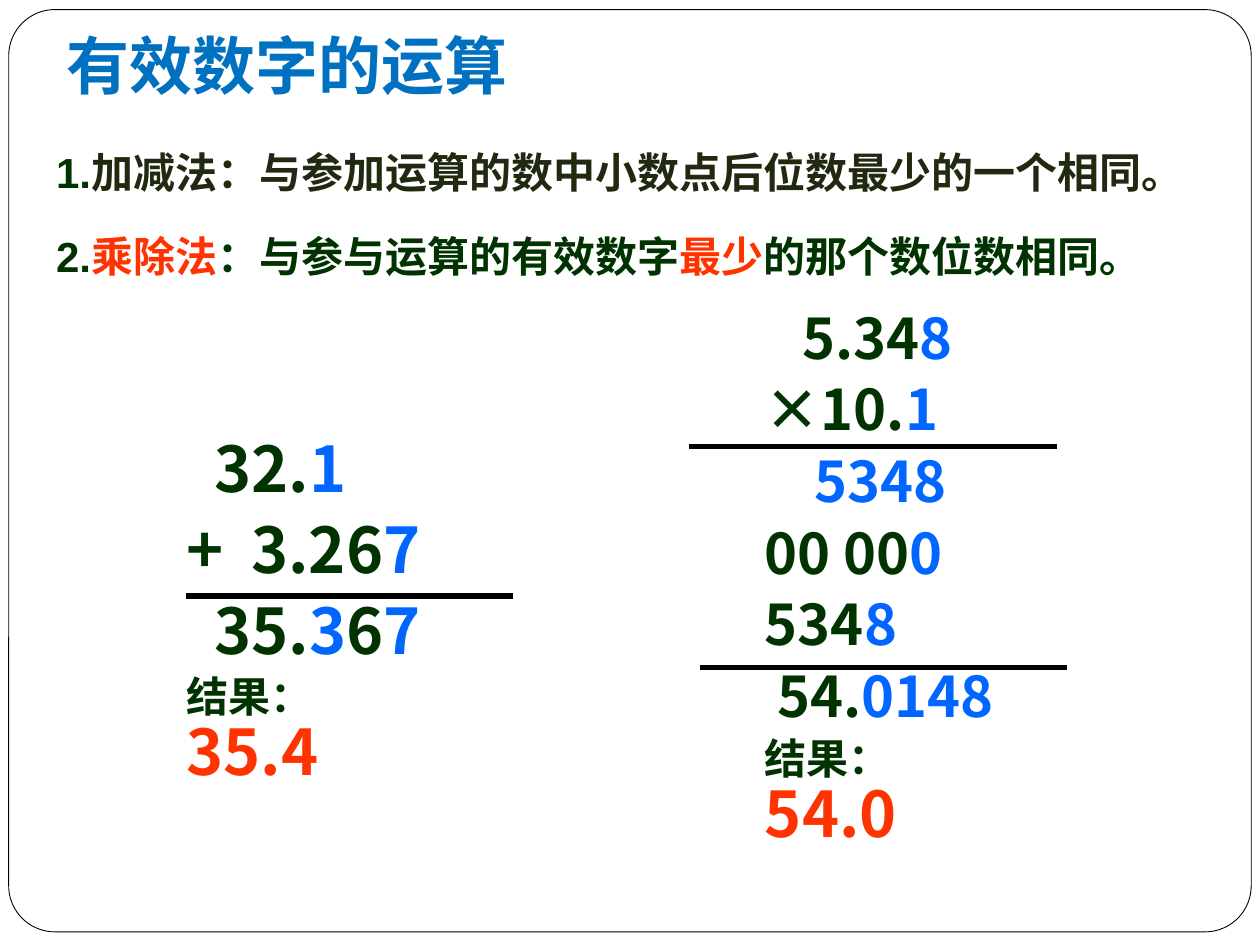
from dataclasses import dataclass

from pptx import Presentation
from pptx.dml.color import RGBColor
from pptx.enum import shapes, text
from pptx.oxml import ns, xmlchemy
from pptx.util import Pt


@dataclass(frozen=True)
class Theme:
    """Colours, fonts and type sizes of the slide."""
    white: str = "FFFFFF"
    black: str = "000000"
    title: str = "0070C0"
    green: str = "003300"
    olive: str = "212911"
    blue: str = "0066FF"
    red: str = "FF3300"
    cjk: str = "Noto Sans CJK SC"
    latin: str = "Arial"
    big: float = 36
    medium: float = 32
    small: float = 24


T = Theme()


def add_box(s, box, anchor=text.MSO_ANCHOR.TOP):
    """Add a wrapping text box and return its text frame."""
    tf = s.shapes.add_textbox(*map(Pt, box)).text_frame
    tf.word_wrap = True
    tf.vertical_anchor = anchor
    return tf


def add_paragraph(tf, first, runs, font, spacing, indent=0, hanging=0):
    """Add a paragraph of bold (text, colour, size) runs."""
    p = tf.paragraphs[0] if first else tf.add_paragraph()
    p.line_spacing = spacing
    p.space_before = Pt(0 if first else 0.2 * runs[0][2])
    pPr = p._p.get_or_add_pPr()
    pPr.set("marL", str(Pt(indent)))
    pPr.set("indent", str(Pt(-hanging)))
    for words, color, size in runs:
        r = p.add_run()
        r.text = words
        r.font.name, r.font.size, r.font.bold = font, Pt(size), True
        r.font.color.rgb = RGBColor.from_string(color)


def add_frame(s, box):
    """Draw the rounded border around the slide."""
    sp = s.shapes.add_shape(shapes.MSO_SHAPE.ROUNDED_RECTANGLE, *map(Pt, box))
    sp.adjustments[0] = 0.05
    sp.shadow.inherit = False
    sp.fill.solid()
    sp.fill.fore_color.rgb = RGBColor.from_string(T.white)
    sp.line.color.rgb = RGBColor.from_string(T.black)
    sp.line.width = Pt(0.5)


def add_title(s, box):
    """Place the slide title at the bottom of its box."""
    tf = add_box(s, box, text.MSO_ANCHOR.BOTTOM)
    tf.margin_bottom = Pt(7.2)
    add_paragraph(tf, True, [("有效数字的运算", T.title, T.big)], T.cjk, 1.0)


def add_rules(s, box):
    """Place the two rules for rounding results."""
    rules = [
        [("1.", T.green), ("加减法：与参加运算的数中小数点后位数最少的一个相同。", T.olive)],
        [("2.", T.green), ("乘除法", T.red), ("：与参与运算的有效数字", T.green),
         ("最少", T.red), ("的那个数位数相同。", T.green)],
    ]
    tf = add_box(s, box)
    for i, rule in enumerate(rules):
        add_paragraph(tf, i == 0, [(*r, T.small) for r in rule], T.latin, 1.5)


def add_calculation(s, box, size, rows, result, bars):
    """Place a written calculation with its result and bars relative to the box."""
    left, top = box[:2]
    tf = add_box(s, box)
    for i, (indent, hanging, runs) in enumerate(rows):
        add_paragraph(tf, i == 0, [(*r, size) for r in runs], T.cjk, 0.9, indent, hanging)
    answer = [("结果：", T.green, T.small), (result, T.red, T.big)]
    add_paragraph(tf, False, answer, T.cjk, 0.9)
    for x, y, length in bars:
        ln = s.shapes.add_connector(
            shapes.MSO_CONNECTOR.STRAIGHT,
            Pt(left + x), Pt(top + y), Pt(left + x + length), Pt(top + y))
        ln.line.color.rgb = RGBColor.from_string(T.black)
        ln.line.width = Pt(3)
        ln._element.spPr.append(xmlchemy.OxmlElement("a:effectLst"))


def main():
    """Build the slide and save it."""
    prs = Presentation()
    prs.slide_width, prs.slide_height = Pt(720), Pt(540)
    s = prs.slides.add_slide(prs.slide_layouts[6])
    add_frame(s, (5, 5.5, 710, 527))
    addition = [
        (16, 0, [("32.", T.green), ("1", T.blue)]),
        (37, 37, [("+\t3.26", T.green), ("7", T.blue)]),
        (16, 0, [("35.", T.green), ("3", T.blue), ("6", T.green), ("7", T.blue)]),
    ]
    add_calculation(s, (99.5, 247, 155, 189.5), T.big, addition, "35.4", [(7, 93.5, 186.5)])
    product = [
        (21.5, 0, [("5.34", T.green), ("8", T.blue)]),
        (0, 0, [("×10.", T.green), ("1", T.blue)]),
        (28.5, 0, [("5348", T.blue)]),
        (0, 0, [("00 00", T.green), ("0", T.blue)]),
        (0, 0, [("534", T.green), ("8", T.blue)]),
        (7, 0, [("54.", T.green), ("0148", T.blue)]),
    ]
    add_calculation(s, (430, 174, 155, 348.5), T.medium, product, "54.0",
                    [(-30, 207.5, 210), (-36, 81, 210)])
    add_rules(s, (25, 66, 641.5, 99.5))
    add_title(s, (31, 14.5, 345.5, 51))
    prs.save("out.pptx")


if __name__ == "__main__":
    main()
